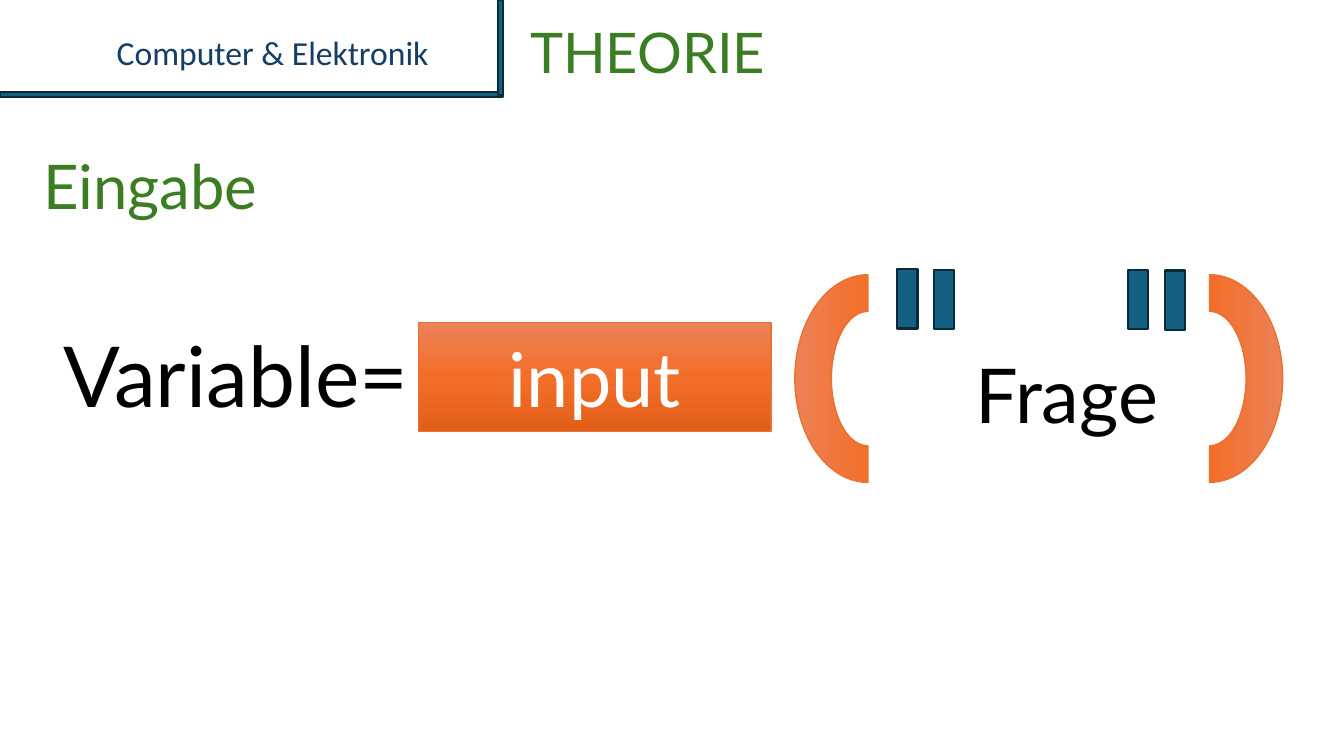
"""Build a theory slide that explains the input statement."""
from copy import deepcopy
from dataclasses import dataclass

from pptx import Presentation
from pptx.dml.color import RGBColor
from pptx.enum.shapes import MSO_SHAPE
from pptx.enum.text import MSO_ANCHOR, MSO_AUTO_SIZE, PP_ALIGN
from pptx.oxml.ns import qn
from pptx.shapes.autoshape import Shape
from pptx.slide import Slide
from pptx.util import Pt

RECTANGLE = MSO_SHAPE.RECTANGLE
BLOCK_ARC = MSO_SHAPE.BLOCK_ARC
TOP, MIDDLE = MSO_ANCHOR.TOP, MSO_ANCHOR.MIDDLE
LEFT, CENTER = PP_ALIGN.LEFT, PP_ALIGN.CENTER
GROW, FIXED = MSO_AUTO_SIZE.SHAPE_TO_FIT_TEXT, MSO_AUTO_SIZE.NONE

NAVY = RGBColor(0x16, 0x3E, 0x64)
GREEN = RGBColor(0x3B, 0x7D, 0x23)
BLACK = RGBColor(0x00, 0x00, 0x00)
WHITE = RGBColor(0xFF, 0xFF, 0xFF)
TEAL = RGBColor(0x15, 0x60, 0x82)
DARK_TEAL = RGBColor(0x09, 0x2A, 0x39)
ORANGE = RGBColor(0xE9, 0x71, 0x32)
ORANGE_STOPS = (
    (0.0, RGBColor(0xED, 0x82, 0x57)),
    (0.5, RGBColor(0xF2, 0x6E, 0x29)),
    (1.0, RGBColor(0xE2, 0x5F, 0x1A)),
)


@dataclass(frozen=True)
class Box:
    """A rectangle on the slide, in points."""

    left: float
    top: float
    width: float
    height: float


@dataclass(frozen=True)
class Label:
    """A piece of text with its place and look."""

    text: str
    box: Box
    size: float
    color: RGBColor
    font: str = "Lato"


@dataclass(frozen=True)
class OrangePart:
    """An orange part of the statement."""

    kind: MSO_SHAPE
    box: Box
    rotation: float = 0


TITLE = Label("THEORIE", Box(371.5, 8.6, 559.4, 55.4), 40, GREEN)
COURSE = Label("Computer & Elektronik", Box(76.3, 19.4, 305.3, 36), 24, NAVY, "Calibri")
LABELS = (
    Label("Eingabe", Box(23.8, 102.2, 877, 60.5), 44, GREEN),
    Label("Frage", Box(689.8, 244.8, 146.2, 72.7), 54, BLACK),
    Label("Variable=", Box(38.2, 227.5, 281.5, 79.9), 60, BLACK),
)
HEADER_BARS = (Box(0, 65.5, 359.3, 3.6), Box(355.7, 0, 3.6, 67.7))
KEYWORD = Label("input", Box(298.8, 230.4, 252, 77.8), 54, WHITE)
BRACKETS = (
    OrangePart(BLOCK_ARC, Box(545.8, 218.2, 148.3, 104.4), 270),
    OrangePart(BLOCK_ARC, Box(789.8, 218.2, 148.3, 104.4), 90),
)
QUOTE_STARTS = ((640.8, 192.2), (805.7, 192.7))
QUOTE_STEP = (26.3, 0.5)
QUOTE_BARS = tuple(
    Box(left + index * QUOTE_STEP[0], top + index * QUOTE_STEP[1], 14.6, 42.5)
    for left, top in QUOTE_STARTS
    for index in range(2)
)


def write_text(
    shape: Shape,
    label: Label,
    anchor: MSO_ANCHOR = TOP,
    alignment: PP_ALIGN = LEFT,
    auto_size: MSO_AUTO_SIZE = GROW,
) -> None:
    """Put a label's text into a shape and format it."""
    frame = shape.text_frame
    frame.text = label.text
    frame.word_wrap = True
    frame.auto_size = auto_size
    frame.vertical_anchor = anchor
    paragraph = frame.paragraphs[0]
    paragraph.alignment = alignment
    font = paragraph.runs[0].font
    font.name = label.font
    font.size = Pt(label.size)
    font.color.rgb = label.color


def place(shape: Shape, box: Box) -> None:
    """Move and resize a shape to a box."""
    shape.left, shape.top = Pt(box.left), Pt(box.top)
    shape.width, shape.height = Pt(box.width), Pt(box.height)


def add_label(slide: Slide, label: Label) -> None:
    """Add a text box for a label."""
    box = label.box
    shape = slide.shapes.add_textbox(
        Pt(box.left), Pt(box.top), Pt(box.width), Pt(box.height)
    )
    write_text(shape, label)


def add_outlined(
    slide: Slide, kind: MSO_SHAPE, box: Box, line_color: RGBColor, line_width: float
) -> Shape:
    """Add a preset shape with an outline and no shadow."""
    shape = slide.shapes.add_shape(
        kind, Pt(box.left), Pt(box.top), Pt(box.width), Pt(box.height)
    )
    shape.shadow.inherit = False
    shape.line.color.rgb = line_color
    shape.line.width = Pt(line_width)
    return shape


def add_bar(slide: Slide, box: Box) -> None:
    """Add a teal bar."""
    shape = add_outlined(slide, RECTANGLE, box, DARK_TEAL, 1.5)
    shape.fill.solid()
    shape.fill.fore_color.rgb = TEAL


def add_orange_part(slide: Slide, part: OrangePart) -> Shape:
    """Add a shape with the three-stop orange gradient, light at its top."""
    shape = add_outlined(slide, part.kind, part.box, ORANGE, 1)
    shape.rotation = part.rotation
    shape.fill.gradient()
    shape.fill.gradient_angle = 270
    stop_list = shape._element.spPr.find(qn("a:gradFill")).find(qn("a:gsLst"))
    stop_list.insert(1, deepcopy(stop_list[0]))
    for stop, (position, color) in zip(shape.fill.gradient_stops, ORANGE_STOPS):
        stop.position = position
        stop.color.rgb = color
    return shape


def main() -> None:
    """Create the presentation and save it."""
    presentation = Presentation()
    presentation.slide_width, presentation.slide_height = Pt(960), Pt(540)
    slide = presentation.slides.add_slide(presentation.slide_layouts[5])

    title = slide.shapes.title
    place(title, TITLE.box)
    write_text(title, TITLE, auto_size=FIXED)

    add_label(slide, COURSE)
    for box in HEADER_BARS + QUOTE_BARS:
        add_bar(slide, box)
    keyword = add_orange_part(slide, OrangePart(RECTANGLE, KEYWORD.box))
    write_text(keyword, KEYWORD, MIDDLE, CENTER, FIXED)
    for bracket in BRACKETS:
        add_orange_part(slide, bracket)
    for label in LABELS:
        add_label(slide, label)

    presentation.save("out.pptx")


if __name__ == "__main__":
    main()
